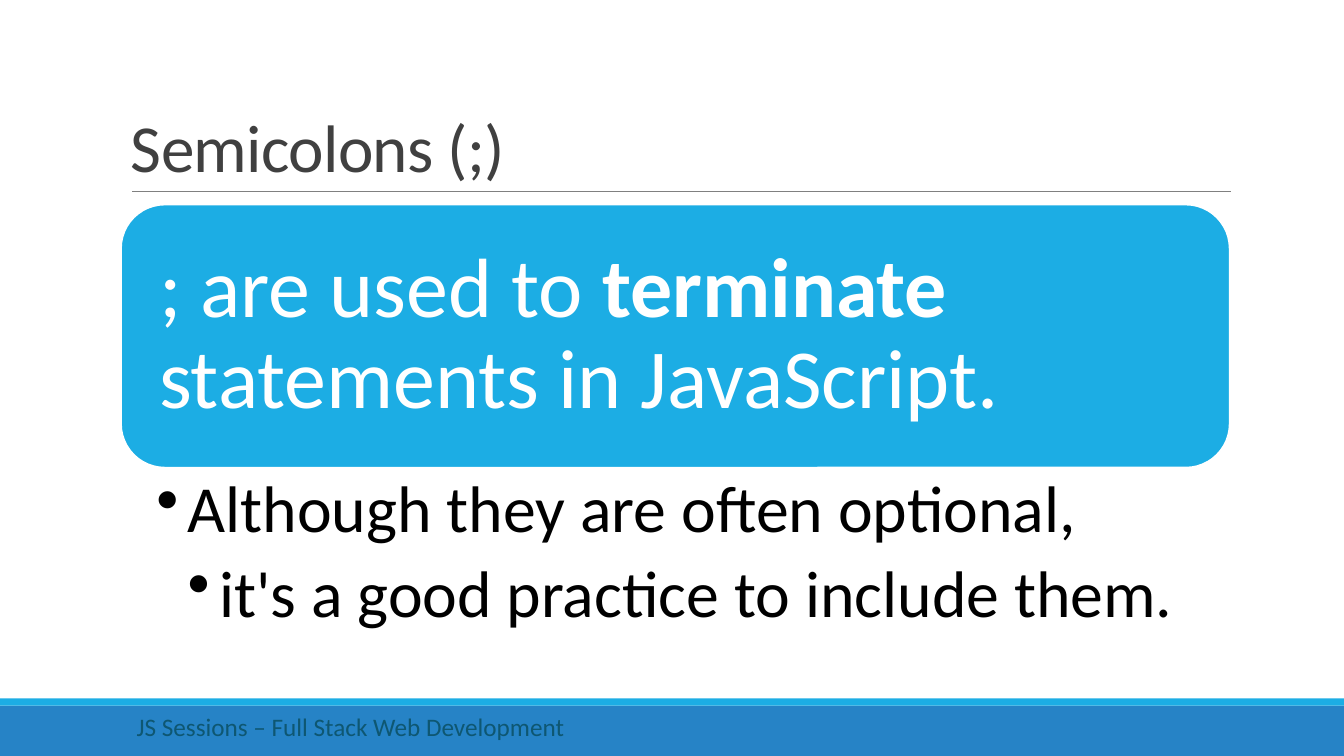
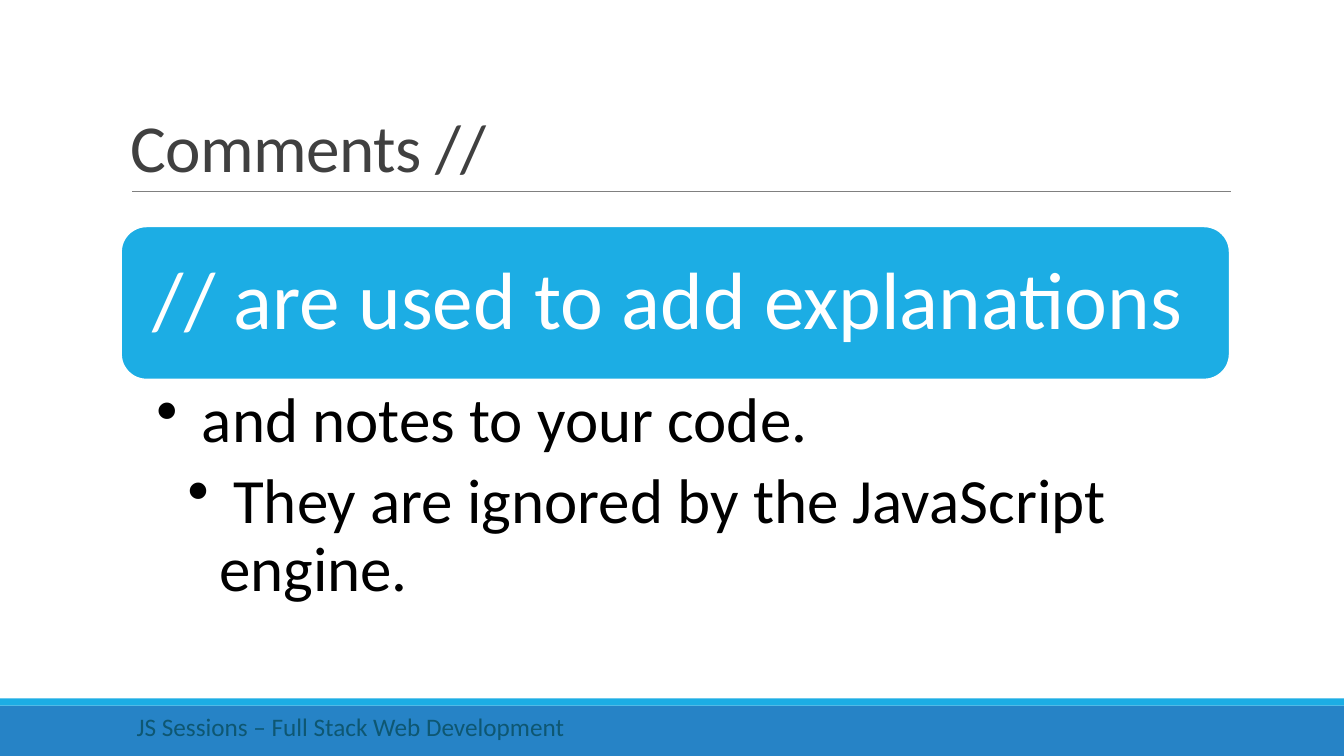
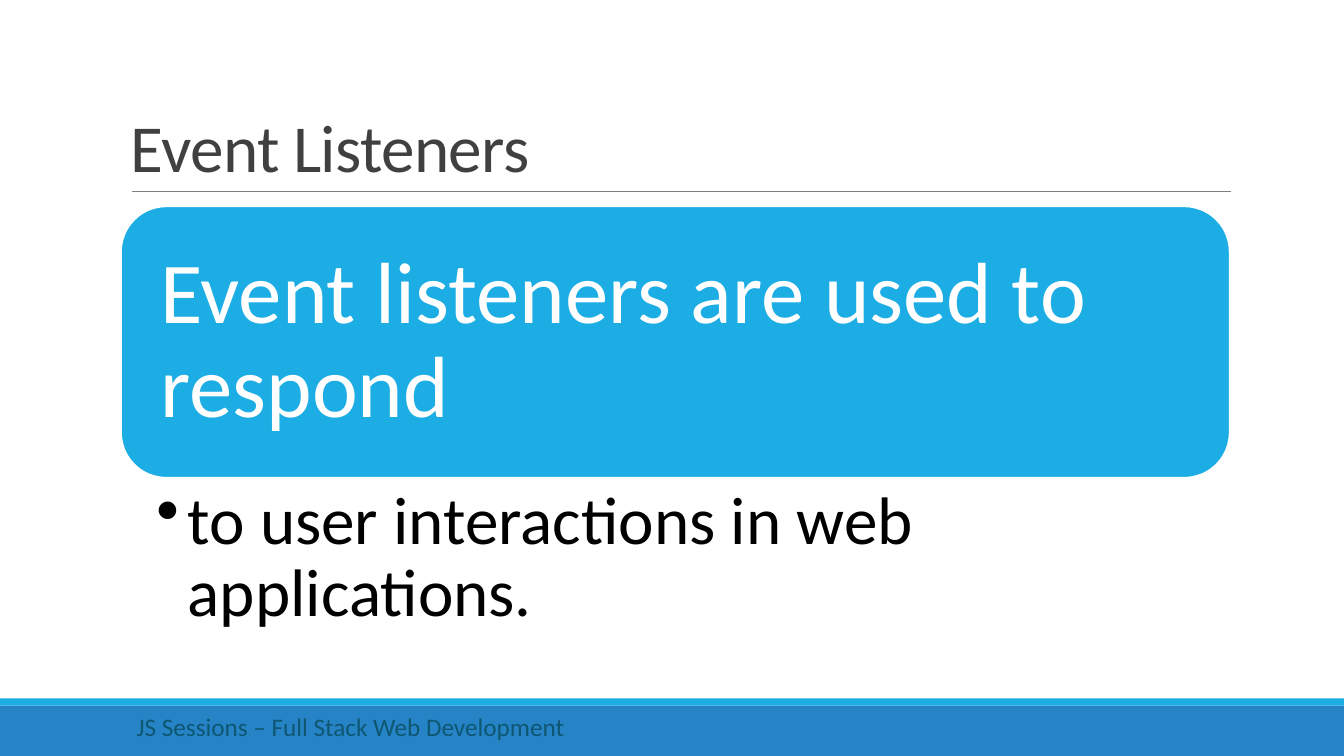
from collections import namedtuple

from pptx import Presentation
from pptx.dml.color import RGBColor
from pptx.enum.shapes import MSO_CONNECTOR as Connector, MSO_SHAPE as Shape
from pptx.enum.text import MSO_ANCHOR as Anchor
from pptx.oxml.ns import qn
from pptx.util import Cm, Pt

Box = namedtuple("Box", "left top width height")
Topic = namedtuple("Topic", "title callout callout_size callout_height details detail_size details_height")

FONT = "Calibri"
WHITE, BLACK = "FFFFFF", "000000"
SKY, BLUE = "1CADE4", "2683C6"
TITLE_GREY, RULE_GREY, FOOTER_TEAL = "404040", "808080", "0E5772"
FOOTER = " JS Sessions – Full Stack Web Development"

PAGE = Box(Cm(0), Cm(0), Cm(33.87), Cm(19.05))
TITLE_BOX = Box(Cm(3.05), Cm(0.79), Cm(27.94), Cm(4.04))
BODY_BOX = Box(Cm(3.05), Cm(5.16), Cm(27.94), Cm(11.12))
FOOTER_BOX = Box(Cm(0), Cm(17.6), PAGE.width, Cm(1.45))

TOPICS = [
    Topic("Semicolons (;)",
          [("; are used to ", False), ("terminate", True), (" statements in JavaScript.", False)],
          60, Cm(6.63), ["Although they are often optional, ", "it's a good practice to include them."],
          47, Cm(4.5)),
    Topic("Comments //", [("// are used to add explanations", False)],
          58, Cm(3.86), [" and notes to your code.", " They are ignored by the JavaScript engine."],
          45, Cm(6.17)),
    Topic("Event Listeners", [("Event listeners are used to respond", False)],
          62, Cm(6.84), ["to user interactions in web applications."],
          48, Cm(4.2)),
]


def colour(value):
    """Turn a hex string into a colour."""
    return RGBColor.from_string(value)


def add_run(paragraph, text, size, hex_colour, bold=False):
    """Append one formatted run and return it."""
    run = paragraph.add_run()
    run.text = text
    run.font.name = FONT
    run.font.size = Pt(size)
    run.font.bold = bold
    run.font.color.rgb = colour(hex_colour)
    return run


def add_filled(slide, kind, box, fill):
    """Draw a flat shape with no outline."""
    shape = slide.shapes.add_shape(kind, *box)
    shape.shadow.inherit = False
    shape.fill.solid()
    shape.fill.fore_color.rgb = colour(fill)
    shape.line.fill.background()
    return shape


def add_text_frame(slide, box):
    """Add a wrapping text box and return its frame."""
    frame = slide.shapes.add_textbox(*box).text_frame
    frame.word_wrap = True
    return frame


def add_bullet(paragraph, level):
    """Give a paragraph a round bullet with a hanging indent."""
    indent = Cm(0.79)
    properties = paragraph._p.get_or_add_pPr()
    properties.set("marL", str(indent * level))
    properties.set("indent", str(-indent))
    bullet = properties.makeelement(qn("a:buChar"), {"char": "•"})
    properties.append(bullet)


def add_title(slide, box, text):
    """Place the title above its thin rule."""
    frame = add_text_frame(slide, box)
    frame.vertical_anchor = Anchor.BOTTOM
    paragraph = frame.paragraphs[0]
    paragraph.line_spacing = 0.85
    run = add_run(paragraph, text, 48, TITLE_GREY)
    run._r.get_or_add_rPr().set("spc", "-50")

    bottom = box.top + box.height
    rule_left = box.left + Cm(0.28)
    rule = slide.shapes.add_connector(
        Connector.STRAIGHT, rule_left, bottom, rule_left + Cm(27.69), bottom)
    rule.line.color.rgb = colour(RULE_GREY)
    rule.line.width = Pt(0.5)
    properties = rule._element.spPr
    properties.append(properties.makeelement(qn("a:effectLst"), {}))


def add_footer(slide, box):
    """Draw the two bands with the session name."""
    stripe = Cm(0.18)
    band = Box(box.left, box.top + stripe, box.width, box.height - stripe)
    add_filled(slide, Shape.RECTANGLE, band, BLUE)
    add_filled(slide, Shape.RECTANGLE, box._replace(height=stripe), SKY)
    label = Box(box.left + Cm(3.05), box.top + Cm(0.21), Cm(19.76), Cm(1.02))
    add_run(add_text_frame(slide, label).paragraphs[0], FOOTER, 18, FOOTER_TEAL)


def add_callout(slide, box, parts, size):
    """Draw the rounded panel holding the main statement."""
    panel = add_filled(slide, Shape.ROUNDED_RECTANGLE, box, SKY)
    panel.line.color.rgb = colour(WHITE)
    panel.line.width = Pt(1.25)
    frame = panel.text_frame
    frame.word_wrap = True
    frame.vertical_anchor = Anchor.MIDDLE
    inset = Pt(size * 0.3)
    frame.margin_left = frame.margin_right = inset
    frame.margin_top = frame.margin_bottom = inset
    paragraph = frame.paragraphs[0]
    paragraph.alignment = 1
    paragraph.line_spacing = 0.9
    for text, bold in parts:
        add_run(paragraph, text, size, WHITE, bold)


def add_details(slide, box, lines, size):
    """List the details, each one level deeper than the last."""
    frame = add_text_frame(slide, box)
    frame.margin_left, frame.margin_right = Cm(0.89), Pt(size * 0.72)
    frame.margin_top = frame.margin_bottom = Cm(0.21)
    for level, text in enumerate(lines, start=1):
        paragraph = frame.paragraphs[0] if level == 1 else frame.add_paragraph()
        paragraph.level = level
        paragraph.line_spacing = 0.9
        paragraph.space_after = Pt(size * 0.2)
        add_bullet(paragraph, level)
        add_run(paragraph, text, size, BLACK)


def add_body(slide, box, topic):
    """Centre the callout and its details vertically in the box."""
    free = box.height - topic.callout_height - topic.details_height
    callout = box._replace(top=box.top + free // 2, height=topic.callout_height)
    details = box._replace(top=callout.top + callout.height, height=topic.details_height)
    add_callout(slide, callout, topic.callout, topic.callout_size)
    add_details(slide, details, topic.details, topic.detail_size)


def add_topic_slide(presentation, topic):
    """Build one topic slide."""
    slide = presentation.slides.add_slide(presentation.slide_layouts[6])
    add_footer(slide, FOOTER_BOX)
    add_title(slide, TITLE_BOX, topic.title)
    add_body(slide, BODY_BOX, topic)


def main():
    """Build and save the presentation."""
    presentation = Presentation()
    presentation.slide_width, presentation.slide_height = PAGE.width, PAGE.height
    for topic in TOPICS:
        add_topic_slide(presentation, topic)
    presentation.save("out.pptx")


main()
